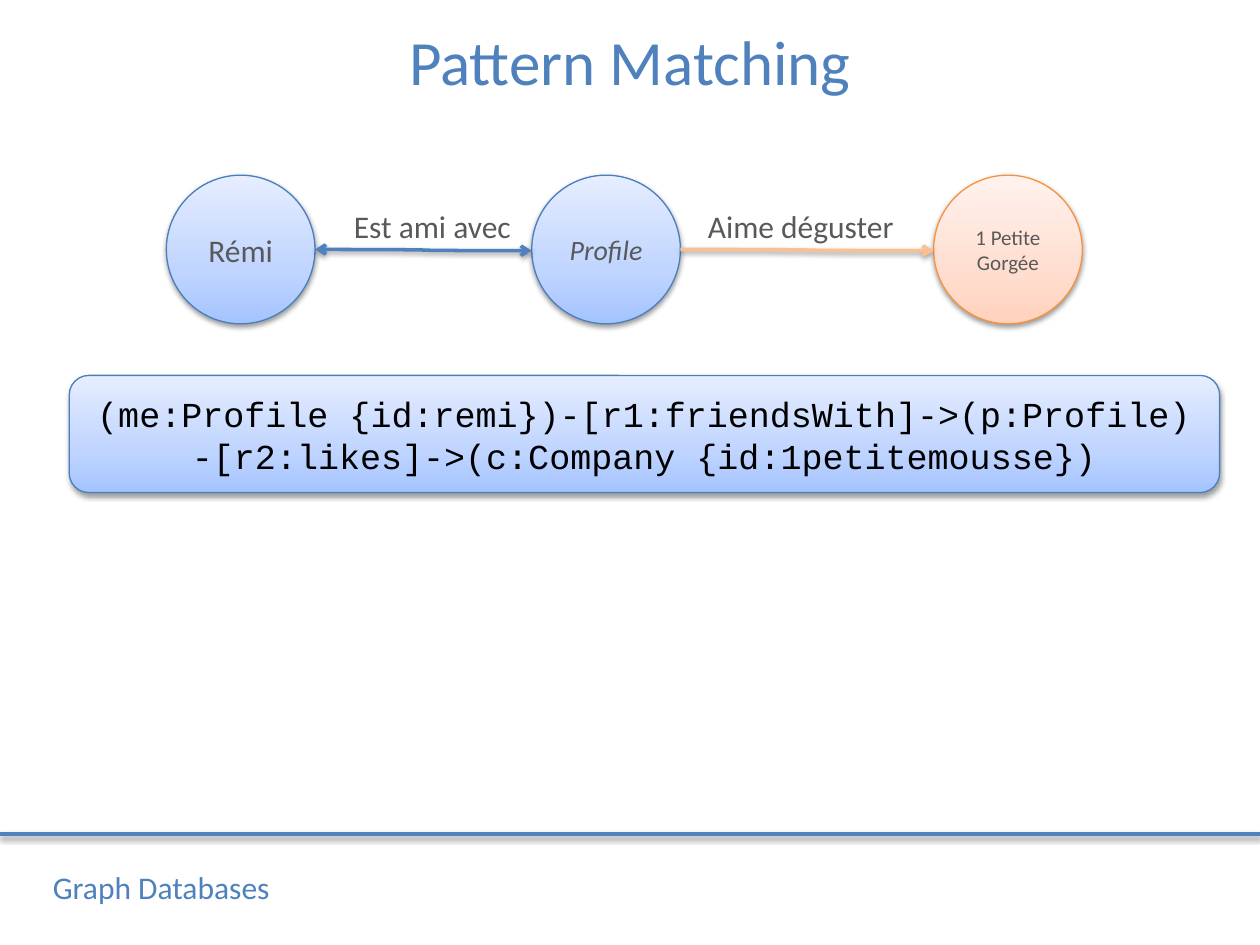
import pptx
import pptx.dml.color
import pptx.enum.shapes
import pptx.enum.text
import pptx.oxml
import pptx.oxml.ns
import pptx.util
from lxml import etree

Inches, Pt = pptx.util.Inches, pptx.util.Pt
RGB = pptx.dml.color.RGBColor.from_string
SHAPE = pptx.enum.shapes.MSO_SHAPE
CONNECTOR = pptx.enum.shapes.MSO_CONNECTOR
ALIGN = pptx.enum.text.PP_ALIGN
ANCHOR = pptx.enum.text.MSO_ANCHOR
qn = pptx.oxml.ns.qn

THEME = {
    "font": "Calibri", "code_font": "Courier New",
    "accent": "4F81BD", "text": "595959", "code": "000000", "likes": "FAC090",
    "blue": {"line": "4B7EBC", "stops": ((0, "A4C4FF"), (35, "BFD4FF"), (100, "E6EEFF"))},
    "orange": {"line": "F69240", "stops": ((0, "FFD2BD"), (35, "FFDED0"), (100, "FFF2ED"))},
    "title": 36, "code_size": 20, "body": 18, "profile": 16, "small": 12,
}


def write(sp, text, size=THEME["body"], color=THEME["text"], font=THEME["font"],
          italic=None, align=ALIGN.CENTER, anchor=ANCHOR.TOP, wrap=True):
    tf = sp.text_frame
    tf.word_wrap = wrap
    tf.vertical_anchor = anchor
    for i, line in enumerate(text.split("\n")):
        p = tf.paragraphs[0] if i == 0 else tf.add_paragraph()
        p.alignment = align
        r = p.add_run()
        r.text = line
        r.font.name, r.font.size, r.font.italic = font, Pt(size), italic
        r.font.color.rgb = RGB(color)


def add_shadow(sp):
    """Drop a soft shadow straight down; call after fill and line are set."""
    spPr = sp._element.spPr
    effects = spPr.find(qn("a:effectLst"))
    if effects is None:
        effects = etree.SubElement(spPr, qn("a:effectLst"))
    effects.append(pptx.oxml.parse_xml(
        f'<a:outerShdw {pptx.oxml.ns.nsdecls("a")} blurRad="{Pt(3.1)}" dist="{Pt(1.6)}" '
        'dir="5400000" rotWithShape="0"><a:srgbClr val="000000">'
        '<a:alpha val="38000"/></a:srgbClr></a:outerShdw>'))


prs = pptx.Presentation()
prs.slide_width, prs.slide_height = Inches(10), Inches(7.5)
s = prs.slides.add_slide(prs.slide_layouts[6])

# Title, footer and relation labels
for text, box, style in (
    ("Graph Databases", (0.3, 6.84, 1.96, 0.4), {"color": THEME["accent"], "wrap": False}),
    ("Pattern Matching", (0, 0.13, 10, 0.71), {"color": THEME["accent"], "size": THEME["title"]}),
    ("Est ami avec", (2.71, 1.59, 1.47, 0.4), {"align": ALIGN.LEFT, "wrap": False}),
    ("Aime déguster", (5.52, 1.59, 1.7, 0.4), {"align": ALIGN.LEFT, "wrap": False}),
):
    write(s.shapes.add_textbox(*map(Inches, box)), text, **style)

# Graph nodes and the query box
node_top, node_size = 1.39, 1.18
query = ("(me:Profile {id:remi})-[r1:friendsWith]->(p:Profile)\n"
         "-[r2:likes]->(c:Company {id:1petitemousse})")
for kind, box, palette, text, style in (
    (SHAPE.OVAL, (1.32, node_top, node_size, node_size), "blue", "Rémi", {}),
    (SHAPE.OVAL, (4.22, node_top, node_size, node_size), "blue", "Profile",
     {"size": THEME["profile"], "italic": True}),
    (SHAPE.OVAL, (7.41, node_top, node_size, node_size), "orange", "1 Petite Gorgée",
     {"size": THEME["small"]}),
    (SHAPE.ROUNDED_RECTANGLE, (0.55, 2.98, 9.13, 0.93), "blue", query,
     {"size": THEME["code_size"], "font": THEME["code_font"], "color": THEME["code"]}),
):
    sp = s.shapes.add_shape(kind, *map(Inches, box))
    sp.shadow.inherit = False
    sp.fill.gradient()
    sp.fill.gradient_angle = 90
    stops = sp._element.spPr.find(qn("a:gradFill")).find(qn("a:gsLst"))
    stops.clear()
    for position, color in THEME[palette]["stops"]:
        stop = etree.SubElement(stops, qn("a:gs"), pos=str(position * 1000))
        etree.SubElement(stop, qn("a:srgbClr"), val=color)
    sp.line.color.rgb = RGB(THEME[palette]["line"])
    sp.line.width = Pt(0.75)
    add_shadow(sp)
    write(sp, text, anchor=ANCHOR.MIDDLE, **style)

# Footer rule and relations
for kind, ends, color, arrows in (
    (CONNECTOR.STRAIGHT, (0, 6.62, 10, 6.62), "accent", ()),
    (CONNECTOR.CURVE, (2.5, 1.98, 4.22, 1.99), "accent", ("a:headEnd", "a:tailEnd")),
    (CONNECTOR.CURVE, (7.41, 1.99, 5.4, 1.98), "likes", ("a:headEnd",)),
):
    line = s.shapes.add_connector(kind, *map(Inches, ends))
    line.line.color.rgb = RGB(THEME[color])
    line.line.width = Pt(2)
    for arrow in arrows:
        etree.SubElement(line.line._get_or_add_ln(), qn(arrow), type="arrow")
    add_shadow(line)

prs.save("out.pptx")
